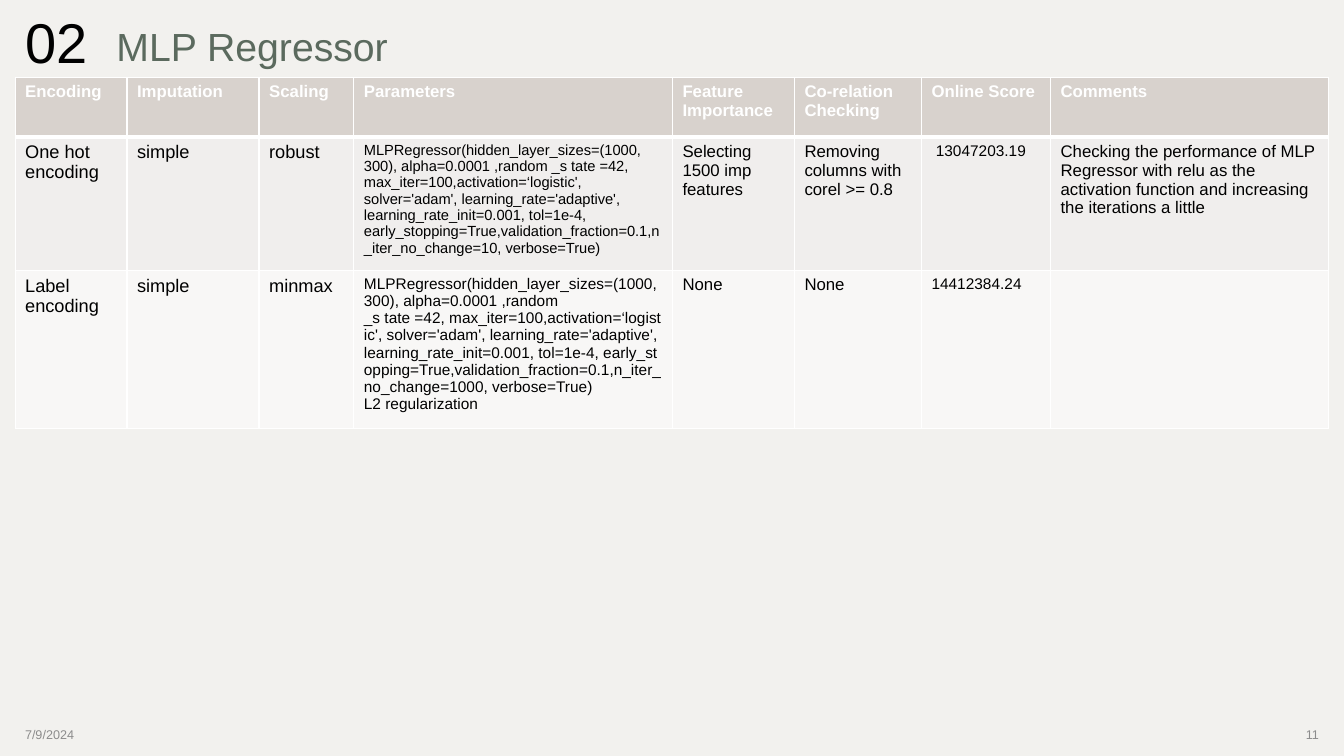
import pptx
import pptx.dml.color
import pptx.enum.text
import pptx.oxml
import pptx.oxml.ns
import pptx.util

# Content ("~" marks a hard space)
TITLE = "MLP Regressor"
SECTION = "02"
DATE, PAGE_NUMBER = "7/9/2024", "11"
HEADERS = ["Encoding", "Imputation", "Scaling", "Parameters", "Feature Importance",
           "Co-relation Checking", "Online Score", "Comments"]
ROBUST_RUN = [
    "One hot encoding", "simple", "robust",
    "MLPRegressor(hidden_layer_sizes=(1000, 300), alpha=0.0001 ,random _s tate =42, "
    "max_iter=100,activation=‘logistic', solver='adam', learning_rate='adaptive', "
    "learning_rate_init=0.001, tol=1e-4, early_stopping=True,validation_fraction=0.1,"
    "n_iter_no_change=10, verbose=True)",
    "Selecting 1500 imp\nfeatures", "Removing columns with corel >= 0.8", " 13047203.19",
    "Checking the performance of MLP Regressor with relu as the activation function "
    "and increasing the iterations a little",
]
MINMAX_RUN = [
    "Label encoding", "simple", "minmax",
    "MLPRegressor(hidden_layer_sizes=(1000,~300), alpha=0.0001 ,random "
    "_s~tate~=42,~max_iter=100,activation=‘logistic',~solver='adam',~"
    "learning_rate='adaptive',~learning_rate_init=0.001,~tol=1e-4,~"
    "early_stopping=True,validation_fraction=0.1,n_iter_no_change=1000, verbose=True)\n"
    "L2 regularization",
    "None", "None", "14412384.24", "",
]

# Each row: texts, text sizes, height, fill, text colour, bold
ROWS = [
    (HEADERS, [12] * 8, 0.59, "header", "white", True),
    (ROBUST_RUN, [13, 13, 13, 10.5, 12, 12, 11, 12], 1.31, "band", "black", False),
    (MINMAX_RUN, [13, 13, 13, 11, 12, 12, 11, 12], 1.57, "pale band", "black", False),
]
COLUMN_WIDTHS = [1.11, 1.31, 0.94, 3.16, 1.21, 1.26, 1.28, 2.76]
COLORS = {"page": "F2F1EE", "header": "D8D2CD", "band": "F0EEED", "pale band": "F8F7F6",
          "white": "FFFFFF", "black": "000000", "title": "5B6A5E", "footer": "8C8C8C"}
FONT = "Arial"
WIDTH, HEIGHT = 13.33, 7.5
MARGIN = 0.15
TABLE_TOP = 0.77
HEADING_HEIGHT = 0.72
FOOTER_WIDTH, FOOTER_HEIGHT, FOOTER_TOP = 3, 0.4, 7.09
ALIGN = pptx.enum.text.PP_ALIGN
ANCHOR = pptx.enum.text.MSO_ANCHOR


def rgb(name):
    return pptx.dml.color.RGBColor.from_string(COLORS[name])


def write(frame, text, size, color, bold=False, align=ALIGN.LEFT):
    frame.word_wrap = True
    frame.text = text.replace("~", chr(160))
    for para in frame.paragraphs:
        para.alignment = align
        for span in para.runs:
            span.font.name = FONT
            span.font.size = pptx.util.Pt(size)
            span.font.bold = bold
            span.font.color.rgb = rgb(color)


def add_text(page, place, text, size, color, align=ALIGN.LEFT):
    box = page.shapes.add_textbox(*map(pptx.util.Inches, place))
    write(box.text_frame, text, size, color, align=align)
    box.text_frame.vertical_anchor = ANCHOR.MIDDLE
    return box


def set_border(cell, side, points):
    properties = cell._tc.get_or_add_tcPr()
    properties.append(pptx.oxml.parse_xml(
        f'<a:ln{side} {pptx.oxml.ns.nsdecls("a")} w="{pptx.util.Pt(points)}"><a:solidFill>'
        f'<a:srgbClr val="{COLORS["white"]}"/></a:solidFill></a:ln{side}>'))


def add_results(page):
    frame = page.shapes.add_table(
        len(ROWS), len(COLUMN_WIDTHS), pptx.util.Inches(MARGIN), pptx.util.Inches(TABLE_TOP),
        pptx.util.Inches(sum(COLUMN_WIDTHS)), pptx.util.Inches(sum(row[2] for row in ROWS)))
    table = frame.table
    table.horz_banding = False
    for column, width in zip(table.columns, COLUMN_WIDTHS):
        column.width = pptx.util.Inches(width)
    for r, (texts, sizes, height, fill, color, bold) in enumerate(ROWS):
        table.rows[r].height = pptx.util.Inches(height)
        # The rule under the header is thicker
        borders = {"L": 1, "R": 1, "T": 3 if r == 1 else 1, "B": 3 if r == 0 else 1}
        for c, (text, size) in enumerate(zip(texts, sizes)):
            cell = table.cell(r, c)
            write(cell.text_frame, text, size, color, bold)
            for side, points in borders.items():
                set_border(cell, side, points)
            cell.fill.solid()
            cell.fill.fore_color.rgb = rgb(fill)


def main():
    deck = pptx.Presentation()
    deck.slide_width = pptx.util.Inches(WIDTH)
    deck.slide_height = pptx.util.Inches(HEIGHT)
    page = deck.slides.add_slide(deck.slide_layouts[5])
    page.background.fill.solid()
    page.background.fill.fore_color.rgb = rgb("page")

    # Footer
    for left, text, align in [(MARGIN, DATE, ALIGN.LEFT),
                              (WIDTH - MARGIN - FOOTER_WIDTH, PAGE_NUMBER, ALIGN.RIGHT)]:
        add_text(page, (left, FOOTER_TOP, FOOTER_WIDTH, FOOTER_HEIGHT), text, 9, "footer", align)

    # Table of runs
    add_results(page)

    # Title
    title = page.shapes.title
    title.left, title.top, title.width, title.height = map(
        pptx.util.Inches, (-0.63, 0.12, 6.26, HEADING_HEIGHT))
    write(title.text_frame, TITLE, 28, "title", align=ALIGN.CENTER)
    title.text_frame.auto_size = pptx.enum.text.MSO_AUTO_SIZE.NONE
    title.text_frame.vertical_anchor = ANCHOR.MIDDLE
    title.text_frame.paragraphs[0].line_spacing = 0.9

    # Section number, ending where the table starts
    section_top = TABLE_TOP - HEADING_HEIGHT
    add_text(page, (MARGIN, section_top, 1.02, HEADING_HEIGHT), SECTION, 40, "black")

    deck.save("out.pptx")


if __name__ == "__main__":
    main()
